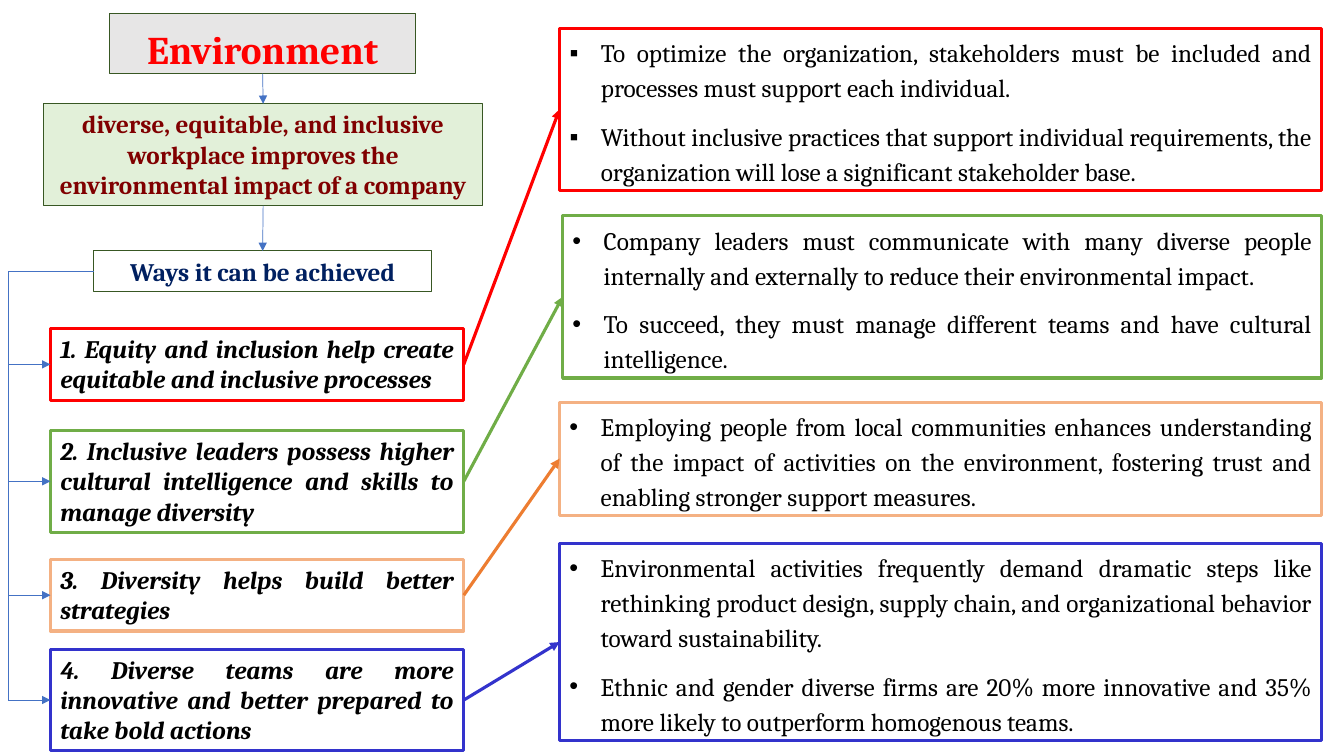
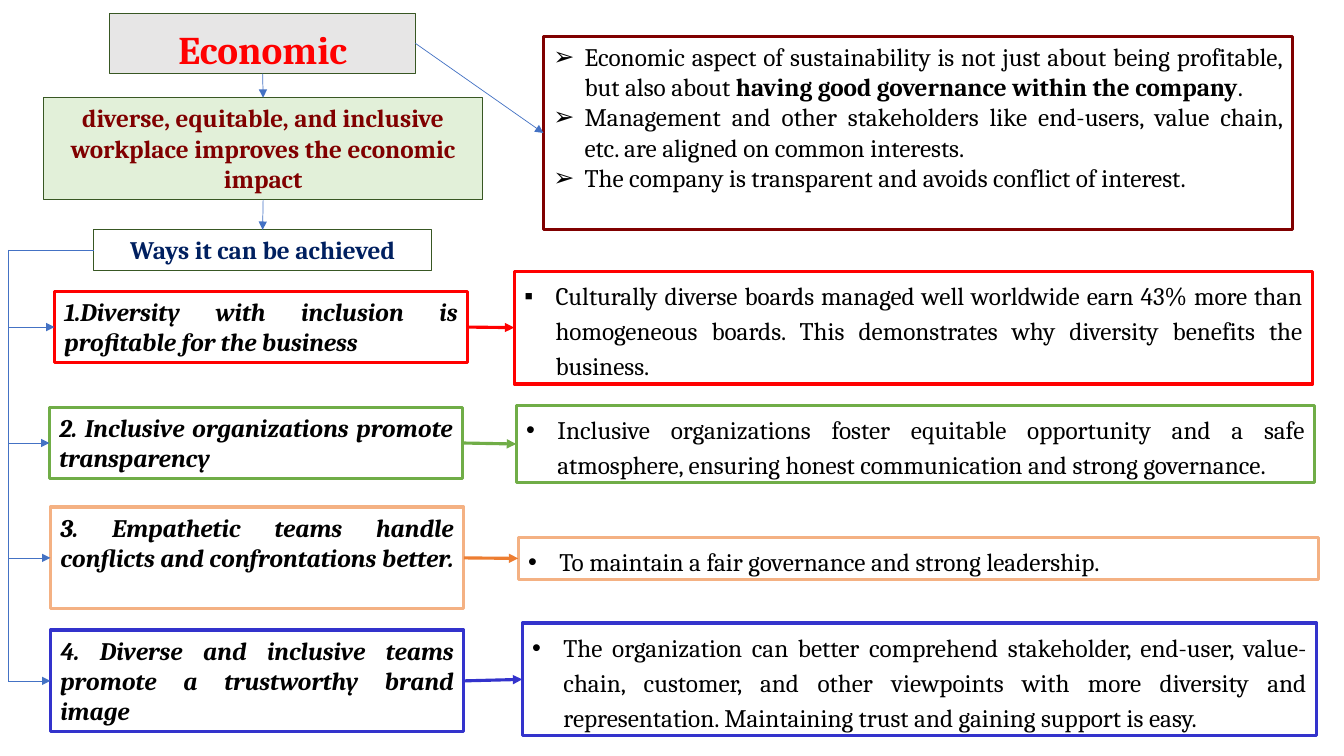
from pptx import Presentation
from pptx.dml.color import RGBColor
from pptx.enum.shapes import MSO_CONNECTOR as Connector
from pptx.enum.text import MSO_ANCHOR as Anchor, MSO_AUTO_SIZE as AutoSize, PP_ALIGN as Align
from pptx.oxml.ns import qn
from pptx.util import Inches, Pt
from lxml.etree import SubElement

FONT = "Cambria"
COLORS = {
    "red": "FF0000", "green": "70AD47", "peach": "F4B183", "orange": "ED7D31",
    "blue": "3333CC", "maroon": "800000", "navy": "002060", "black": "000000",
    "flow": "4472C4", "frame": "385723", "title_fill": "E7E6E6", "claim_fill": "E2F0D9",
}
WAY_COLORS = ["red", "green", "peach", "blue"]
ARROW_COLORS = ["red", "green", "orange", "blue"]
THICK, FRAME, THIN = 2.25, 0.75, 0.5
TITLE_BOX = (1.09, 0.13, 3.03, 0.6)
WAY_WIDTH = 4.1
RAIL_X = 0.08
SQUARE, DOT, ARROWHEAD = "▪", "•", "➢"


def rgb(name):
    return RGBColor.from_string(COLORS[name])


# Anchor points of a (left, top, width, height) box
def left_mid(box):
    return box[0], box[1] + box[3] / 2


def right_mid(box):
    return box[0] + box[2], box[1] + box[3] / 2


def top_mid(box):
    return box[0] + box[2] / 2, box[1]


def bottom_mid(box):
    return box[0] + box[2] / 2, box[1] + box[3]


def add_line(slide, start, end, color="flow", width=THIN, arrow=True):
    line = slide.shapes.add_connector(
        Connector.STRAIGHT, *(Inches(v) for v in (*start, *end)))
    line.line.color.rgb = rgb(color)
    line.line.width = Pt(width)
    if arrow:
        SubElement(line.line._get_or_add_ln(), qn("a:tailEnd"), type="triangle")
    SubElement(line._element.spPr, qn("a:effectLst"))


def set_bullet(paragraph, char):
    props = paragraph._p.get_or_add_pPr()
    props.set("marL", str(Inches(0.31)))
    props.set("indent", str(-Inches(0.31)))
    SubElement(props, qn("a:buFont"), typeface="Arial")
    SubElement(props, qn("a:buChar"), char=char)


def framed_text(slide, box, texts, line, width=THICK, fill=None, color="black",
                size=18, bold=False, italic=False, align=Align.JUSTIFY, bullet=None,
                spacing=1.0, before=0, after=0, holder=None):
    """Framed text in a placeholder or a new text box; **marks** are bold."""
    lengths = [Inches(v) for v in box]
    frame = holder or slide.shapes.add_textbox(*lengths)
    frame.left, frame.top, frame.width, frame.height = lengths
    frame.line.color.rgb = rgb(line)
    frame.line.width = Pt(width)
    if fill:
        frame.fill.solid()
        frame.fill.fore_color.rgb = rgb(fill)
    text_frame = frame.text_frame
    text_frame.word_wrap = True
    text_frame.auto_size = AutoSize.NONE
    text_frame.vertical_anchor = Anchor.TOP
    for i, text in enumerate(texts):
        paragraph = text_frame.add_paragraph() if i else text_frame.paragraphs[0]
        if bullet:
            set_bullet(paragraph, bullet)
        paragraph.alignment = align
        paragraph.line_spacing = spacing
        paragraph.space_before, paragraph.space_after = Pt(before), Pt(after)
        font = paragraph.font
        font.name, font.size, font.bold, font.italic = FONT, Pt(size), bold, italic
        font.color.rgb = rgb(color)
        for part, words in enumerate(text.split("**")):
            run = paragraph.add_run()
            run.text = words
            if part % 2:
                run.font.bold = True


# Title, claim and heading, joined by arrows down the left column
def add_header(slide, title, claim, claim_top, heading_top):
    claim_box = (0.43, claim_top, 4.36, 1.01)
    heading_box = (0.93, heading_top, 3.35, 0.4)
    centered = dict(line="frame", width=FRAME, bold=True, align=Align.CENTER)
    framed_text(slide, TITLE_BOX, [title], fill="title_fill", color="red", size=28,
                spacing=1.15, before=10, holder=slide.shapes.title, **centered)
    framed_text(slide, claim_box, [claim], fill="claim_fill", color="maroon", **centered)
    framed_text(slide, heading_box, ["Ways it can be achieved"], color="navy", **centered)
    add_line(slide, bottom_mid(TITLE_BOX), top_mid(claim_box))
    add_line(slide, bottom_mid(claim_box), top_mid(heading_box))
    return heading_box


# Numbered ways, each with an arrow to its details
def add_ways(slide, heading_box, ways):
    rail_top = left_mid(heading_box)[1]
    for i, (way_place, way, detail_box, bullet, details) in enumerate(ways):
        left, top, height = way_place
        way_box = (left, top, WAY_WIDTH, height)
        framed_text(slide, way_box, [way], WAY_COLORS[i], bold=True, italic=True)
        framed_text(slide, detail_box, details, WAY_COLORS[i], bullet=bullet,
                    spacing=1.15, after=10, holder=None if i else slide.placeholders[1])
        entry = left_mid(way_box)
        add_line(slide, (RAIL_X, entry[1]), entry)
        add_line(slide, right_mid(way_box), left_mid(detail_box), ARROW_COLORS[i], THICK)
    add_line(slide, left_mid(heading_box), (RAIL_X, rail_top), arrow=False)
    add_line(slide, (RAIL_X, rail_top), (RAIL_X, entry[1]), arrow=False)


# Side note that the title points to
def add_side_note(slide, box, points):
    framed_text(slide, box, points, "maroon", bullet=ARROWHEAD)
    add_line(slide, right_mid(TITLE_BOX), left_mid(box))


def add_impact_slide(prs, title, claim, claim_top, heading_top, ways):
    slide = prs.slides.add_slide(prs.slide_layouts[1])
    heading_box = add_header(slide, title, claim, claim_top, heading_top)
    add_ways(slide, heading_box, ways)
    return slide


# Each way: (left, top, height), text, details box, bullet, details
ENVIRONMENT_WAYS = [
    ((0.5, 3.26, 0.71), "1. Equity and inclusion help create equitable and inclusive processes",
     (5.55, 0.28, 7.56, 1.61), SQUARE,
     ["To optimize the organization, stakeholders must be included and processes must "
      "support each individual.",
      "Without inclusive practices that support individual requirements, the organization "
      "will lose a significant stakeholder base."]),
    ((0.5, 4.27, 1.01), "2. Inclusive leaders possess higher cultural intelligence and skills "
     "to manage diversity",
     (5.58, 2.14, 7.53, 1.61), DOT,
     ["Company leaders must communicate with many diverse people internally and externally "
      "to reduce their environmental impact.",
      "To succeed, they must manage different teams and have cultural intelligence."]),
    ((0.5, 5.55, 0.71), "3. Diversity helps build better strategies",
     (5.55, 3.99, 7.56, 1.12), DOT,
     ["Employing people from local communities enhances understanding of the impact of "
      "activities on the environment, fostering trust and enabling stronger support measures."]),
    ((0.5, 6.44, 1.01), "4. Diverse teams are more innovative and better prepared to take "
     "bold actions",
     (5.55, 5.39, 7.56, 1.96), DOT,
     ["Environmental activities frequently demand dramatic steps like rethinking product "
      "design, supply chain, and organizational behavior toward sustainability.",
      "Ethnic and gender diverse firms are 20% more innovative and 35% more likely to "
      "outperform homogenous teams."]),
]
ECONOMIC_WAYS = [
    ((0.54, 2.89, 0.71), "1.Diversity with inclusion is profitable for the business",
     (5.1, 2.69, 7.92, 1.12), SQUARE,
     ["Culturally diverse boards managed well worldwide earn 43% more than homogeneous "
      "boards. This demonstrates why diversity benefits the business."]),
    ((0.49, 4.04, 0.71), "2. Inclusive organizations promote transparency",
     (5.12, 4.02, 7.92, 0.77), DOT,
     ["Inclusive organizations foster equitable opportunity and a safe atmosphere, ensuring "
      "honest communication and strong governance."]),
    ((0.5, 5.03, 1.01), "3. Empathetic teams handle conflicts and confrontations better. ",
     (5.14, 5.33, 7.94, 0.42), DOT,
     ["To maintain a fair governance and strong leadership."]),
    ((0.5, 6.25, 1.01), "4. Diverse and inclusive teams promote a trustworthy brand image",
     (5.18, 6.18, 7.88, 1.12), DOT,
     ["The organization can better comprehend stakeholder, end-user, value-chain, customer, "
      "and other viewpoints with more diversity and representation. Maintaining trust and "
      "gaining support is easy."]),
]
GOVERNANCE_POINTS = [
    "Economic aspect of sustainability is not just about being profitable, but also about "
    "**having good governance within the company**.",
    "Management and other stakeholders like end-users, value chain, etc. are aligned on "
    "common interests.",
    "The company is transparent and avoids conflict of interest.",
]


def main():
    prs = Presentation()
    prs.slide_width, prs.slide_height = Inches(13.33), Inches(7.5)
    add_impact_slide(
        prs, "Environment",
        "diverse, equitable, and inclusive workplace improves the environmental impact "
        "of a company", 1.03, 2.49, ENVIRONMENT_WAYS)
    economic = add_impact_slide(
        prs, "Economic",
        "diverse, equitable, and inclusive workplace improves the economic impact",
        0.97, 2.28, ECONOMIC_WAYS)
    add_side_note(economic, (5.39, 0.36, 7.43, 1.92), GOVERNANCE_POINTS)
    prs.save("out.pptx")


if __name__ == "__main__":
    main()
